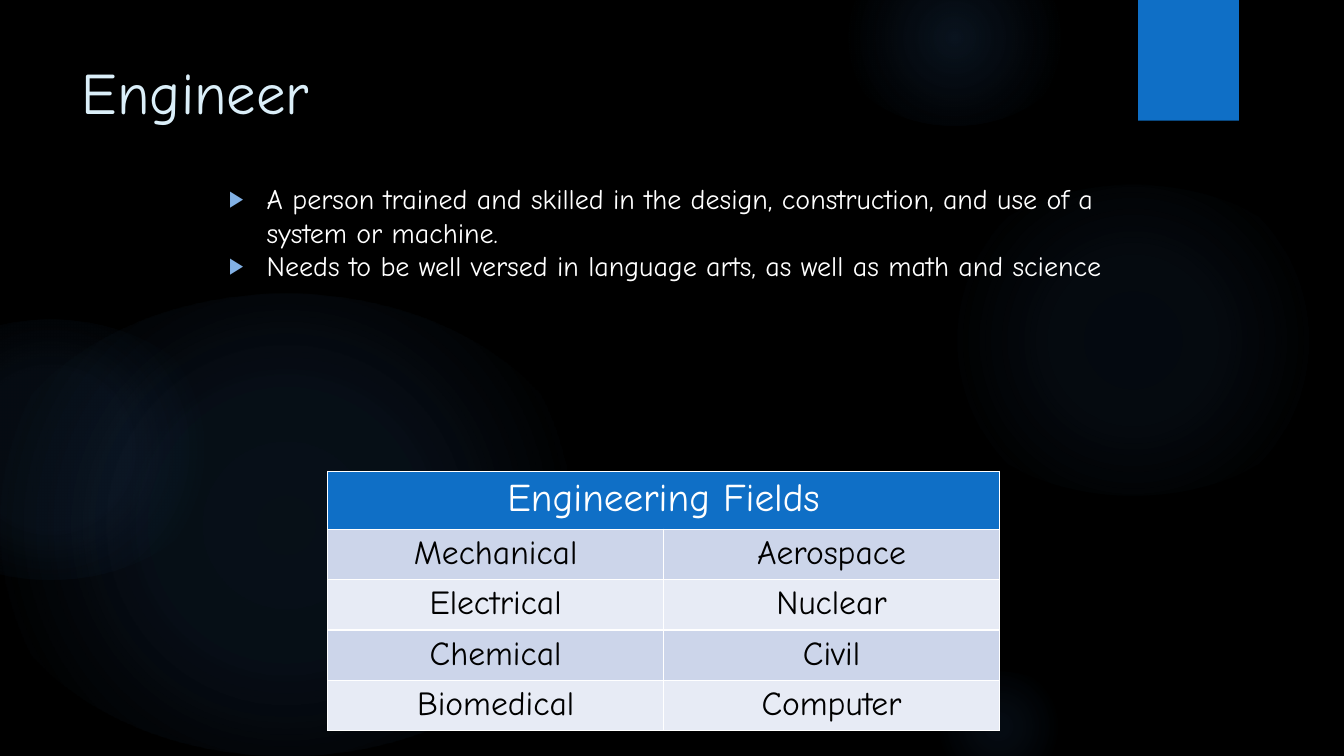
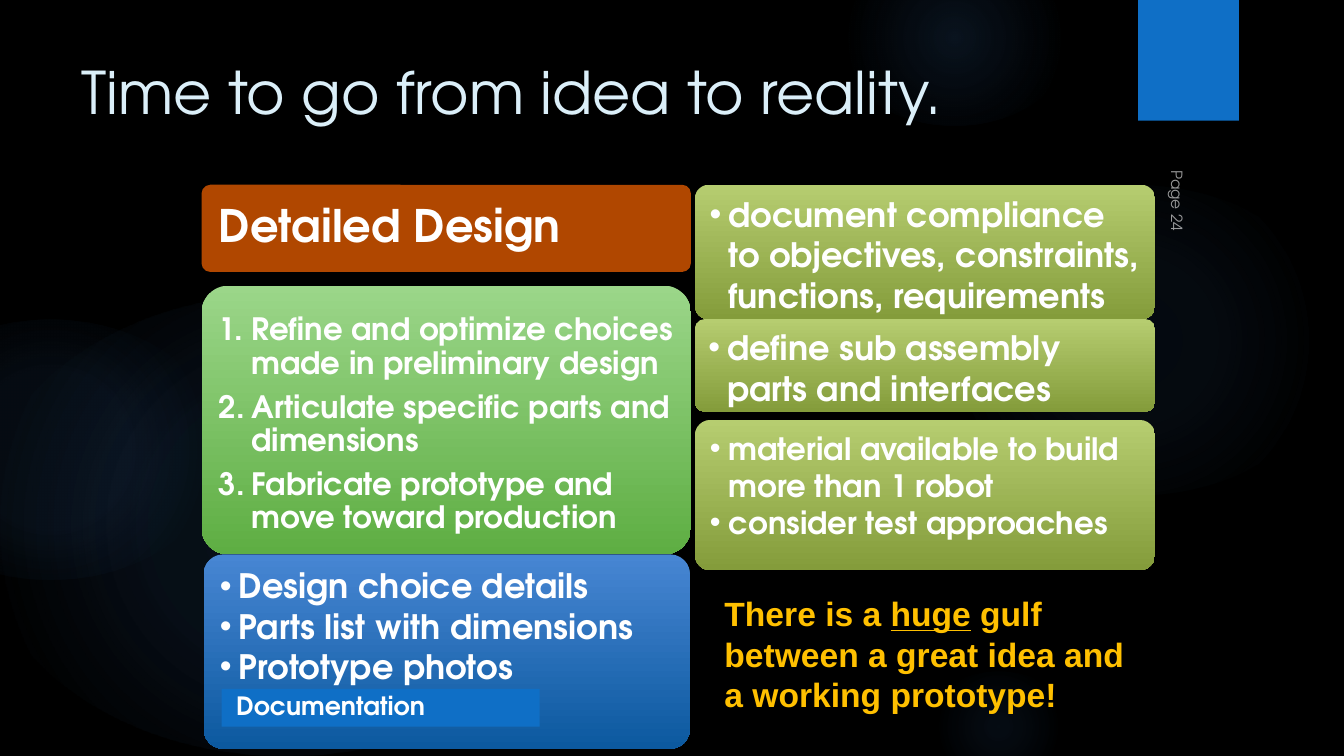
from dataclasses import dataclass

from lxml import etree
from pptx import Presentation
from pptx import util as u
from pptx.dml import color
from pptx.enum import shapes, text
from pptx.oxml import ns, parse_xml

PX = 9525
RGB = color.RGBColor.from_string


@dataclass(frozen=True)
class Theme:
    background: str = "000000"
    glow: str = "448AD7"
    accent: str = "0F6FC6"
    title: str = "DBEFF9"
    light: str = "FFFFFF"
    dark: str = "000000"
    bullet: str = "82B1E5"
    warning: str = "FFC000"
    rust: str = "B04700"
    green: tuple = ("9BD689", "5EAE43")
    blue: tuple = ("4786D3", "0C599F")
    olive: tuple = ("B6CD70", "849C3B")
    bands: tuple = ("E7EBF5", "CCD5EA")
    hand: str = "Comic Neue"
    round: str = "TeX Gyre Adventor"
    plain: str = "Arial"
    title_size: int = 42
    heading_size: int = 32
    table_head_size: int = 28
    large_size: int = 24
    list_size: int = 22
    body_size: int = 20
    label_size: int = 18
    page_size: int = 11


theme = Theme()


def style(frame, size, font, ink=theme.light, bold=False, indent=0, bullets=(),
          pad=(10, 5, 10, 5), anchor=text.MSO_ANCHOR.TOP, tight=False):
    frame.word_wrap = True
    frame.auto_size = text.MSO_AUTO_SIZE.NONE
    frame.vertical_anchor = anchor
    frame.margin_left, frame.margin_top, frame.margin_right, frame.margin_bottom = (
        PX * side for side in pad)
    for paragraph in frame.paragraphs:
        paragraph.alignment = text.PP_ALIGN.LEFT
        paragraph.space_before = u.Pt(0)
        if tight:
            paragraph.line_spacing = 0.9
            paragraph.space_after = u.Pt(size * 0.35)
        for run in paragraph.runs:
            run.font.size = u.Pt(size)
            run.font.name = font
            run.font.bold = bold
            run.font.color.rgb = RGB(ink)
        if bullets:
            properties = paragraph._p.get_or_add_pPr()
            properties.set("marL", str(PX * indent))
            properties.set("indent", str(-PX * indent))
            for tag, name, value in bullets:
                etree.SubElement(properties, ns.qn(tag)).set(name, value)


def add_panel(slide, kind, box, fill):
    shape = slide.shapes.add_shape(kind, *(PX * length for length in box))
    shape.shadow.inherit = False
    shape.line.fill.background()
    if kind == shapes.MSO_SHAPE.ROUNDED_RECTANGLE:
        shape.adjustments[0] = 0.1
    if isinstance(fill, tuple):
        shape.fill.gradient()
        shape.fill.gradient_angle = 270
        for stop, tone in zip(shape.fill.gradient_stops, fill):
            stop.color.rgb = RGB(tone)
    else:
        shape.fill.solid()
        shape.fill.fore_color.rgb = RGB(fill)
    return shape


DOTS = (("a:buFont", "typeface", "Arial"), ("a:buChar", "char", "•"))
NUMBERS = (("a:buFont", "typeface", "+mj-lt"), ("a:buAutoNum", "type", "arabicPeriod"))
ROUNDED = shapes.MSO_SHAPE.ROUNDED_RECTANGLE
RECTANGLE = shapes.MSO_SHAPE.RECTANGLE
MIDDLE = text.MSO_ANCHOR.MIDDLE

presentation = Presentation()
presentation.slide_width = PX * 1280
presentation.slide_height = PX * 720
master = presentation.slide_master
master.background.fill.solid()
master.background.fill.fore_color.rgb = RGB(theme.background)

slides = []
for layout, heading, font in (
    (1, "Engineer", theme.hand),
    (5, "Time to go from idea to reality.", theme.round),
):
    slide = presentation.slides.add_slide(presentation.slide_layouts[layout])
    title = slide.shapes.title
    title.left, title.top, title.width, title.height = (
        PX * length for length in (68, 48, 988, 147))
    title.text_frame.text = heading
    style(title.text_frame, theme.title_size, font, theme.title)
    slides.append(slide)
engineer, reality = slides

decorations = []
for box, stops in (
    ((882, 176, 395, 296), ((0, 7), (36, 6), (69, 0))),
    ((797, -48, 224, 168), ((0, 14), (36, 7), (73, 0))),
    ((882, 640, 138, 104), ((0, 9), (36, 5), (66, 0))),
    ((-21, 280, 587, 440), ((0, 11), (36, 10), (75, 0))),
    ((-117, 304, 330, 248), ((0, 8), (36, 8), (72, 0))),
):
    glow = add_panel(engineer, shapes.MSO_SHAPE.OVAL, box, theme.glow)
    stop_xml = "".join(
        f'<a:gs pos="{position * 1000}"><a:srgbClr val="{theme.glow}">'
        f'<a:alpha val="{opacity * 1000}"/></a:srgbClr></a:gs>'
        for position, opacity in stops)
    gradient = parse_xml(
        f'<a:gradFill {ns.nsdecls("a")}><a:gsLst>{stop_xml}</a:gsLst><a:path path="circle">'
        '<a:fillToRect l="50000" t="50000" r="50000" b="50000"/></a:path></a:gradFill>')
    properties = glow.element.spPr
    properties.replace(properties.find(ns.qn("a:solidFill")), gradient)
    decorations.append(glow)
decorations.append(add_panel(engineer, RECTANGLE, (1084, 0, 96, 115), theme.accent))
for index, decoration in enumerate(decorations):
    decoration.element.nvSpPr.cNvPr.set("id", str(100 + index))
    master.shapes.element.insert(2 + index, decoration.element)

body = engineer.placeholders[1]
body.left, body.top, body.width, body.height = (
    PX * length for length in (208, 168, 864, 264))
body.text_frame.text = "\n".join((
    "A person trained and skilled in the design, construction, and use of a system or machine.",
    "Needs to be well versed in language arts, as well as math and science",
))
style(body.text_frame, theme.body_size, theme.hand, indent=36, bullets=(
    ("a:buClr", "val", theme.bullet), ("a:buSzPct", "val", "80000"),
    ("a:buFont", "typeface", "Arial"), ("a:buChar", "char", "▶")))
bullet_colors = body.text_frame._txBody.iter(ns.qn("a:buClr"))
for bullet_color in list(bullet_colors):
    del bullet_color.attrib["val"]
    etree.SubElement(bullet_color, ns.qn("a:srgbClr")).set("val", theme.bullet)

fields = (
    ("Engineering Fields", ""),
    ("Mechanical", "Aerospace"),
    ("Electrical", "Nuclear"),
    ("Chemical", "Civil"),
    ("Biomedical", "Computer"),
)
table = engineer.shapes.add_table(
    len(fields), 2, *(PX * length for length in (312, 449, 640, 247))).table
table.first_row = False
table.horz_banding = False
table.cell(0, 0).merge(table.cell(0, 1))
for row, names in enumerate(fields):
    table.rows[row].height = PX * (48 if row else 55)
    for column, name in enumerate(names):
        cell = table.cell(row, column)
        cell.fill.solid()
        cell.fill.fore_color.rgb = RGB(theme.bands[row % 2] if row else theme.accent)
        cell.text_frame.text = name
        paragraph = cell.text_frame.paragraphs[0]
        paragraph.alignment = text.PP_ALIGN.CENTER
        for run in paragraph.runs:
            run.font.size = u.Pt(theme.large_size if row else theme.table_head_size)
            run.font.name = theme.hand
            run.font.color.rgb = RGB(theme.dark if row else theme.light)
        for index, side in enumerate(("lnL", "lnR", "lnT", "lnB")):
            border = parse_xml(
                f'<a:{side} {ns.nsdecls("a")} w="12700"><a:solidFill>'
                f'<a:srgbClr val="{theme.light}"/></a:solidFill></a:{side}>')
            cell._tc.get_or_add_tcPr().insert(index, border)

heading_format = dict(pad=(14, 14, 14, 14), anchor=MIDDLE, tight=True)
step_format = dict(pad=(9, 16, 9, 7), anchor=MIDDLE, tight=True, indent=31, bullets=NUMBERS)
dot_format = dict(indent=18, bullets=DOTS)
for kind, box, fill, size, lines, layout in (
    (ROUNDED, (192, 176, 466, 83), theme.rust, theme.heading_size,
     ("Detailed Design",), heading_format),
    (ROUNDED, (192, 272, 466, 256), theme.green, theme.list_size,
     ("Refine and optimize choices made in preliminary design",
      "Articulate specific parts and dimensions",
      "Fabricate prototype and move toward production"), step_format),
    (ROUNDED, (194, 528, 463, 185), theme.blue, theme.large_size,
     ("Design choice details", "Parts list with dimensions", "Prototype photos"), dot_format),
    (ROUNDED, (662, 176, 438, 128), theme.olive, theme.large_size,
     ("document compliance to objectives, constraints, functions, requirements",), dot_format),
    (ROUNDED, (662, 304, 438, 88), theme.olive, theme.large_size,
     ("define sub assembly parts and interfaces",), dot_format),
    (ROUNDED, (662, 400, 438, 143), theme.olive, theme.list_size,
     ("material available to build more than 1 robot", "consider test approaches"), dot_format),
    (RECTANGLE, (211, 656, 303, 36), theme.accent, theme.label_size,
     ("Documentation",), heading_format),
):
    card = add_panel(reality, kind, box, fill)
    card.text_frame.text = "\n".join(lines)
    style(card.text_frame, size, theme.round, bold=True, **layout)

page = reality.shapes.add_textbox(*(PX * length for length in (1067, 188, 104, 32)))
page.rotation = 90
page.text_frame.text = "Page 24"
style(page.text_frame, theme.page_size, theme.round)
for page_color in page.element.iter(ns.qn("a:srgbClr")):
    etree.SubElement(page_color, ns.qn("a:alpha")).set("val", "60000")

message = reality.shapes.add_textbox(*(PX * length for length in (680, 560, 405, 126)))
paragraph = message.text_frame.paragraphs[0]
for words in ("There is a ", "huge", " gulf between a great idea and a working prototype!"):
    paragraph.add_run().text = words
style(message.text_frame, theme.large_size, theme.plain, theme.warning, bold=True)
paragraph.runs[1].font.underline = True

presentation.save("out.pptx")
